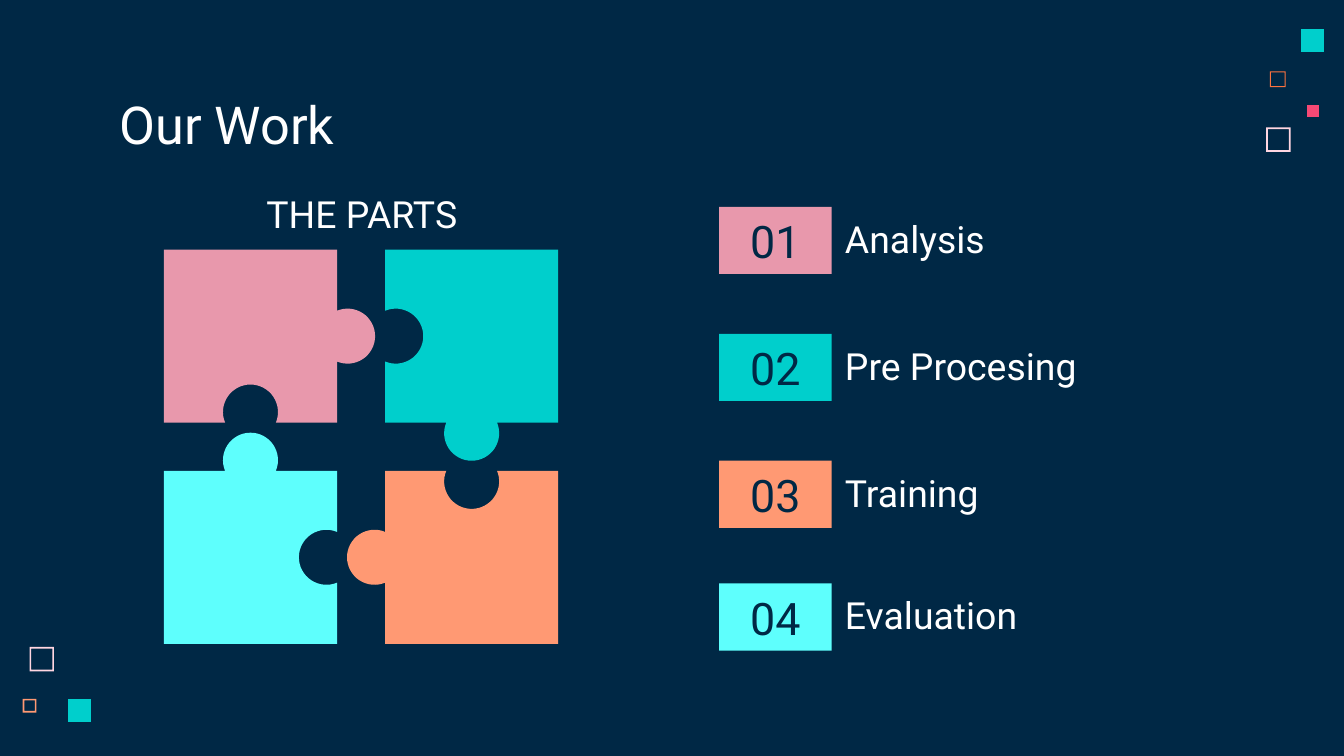
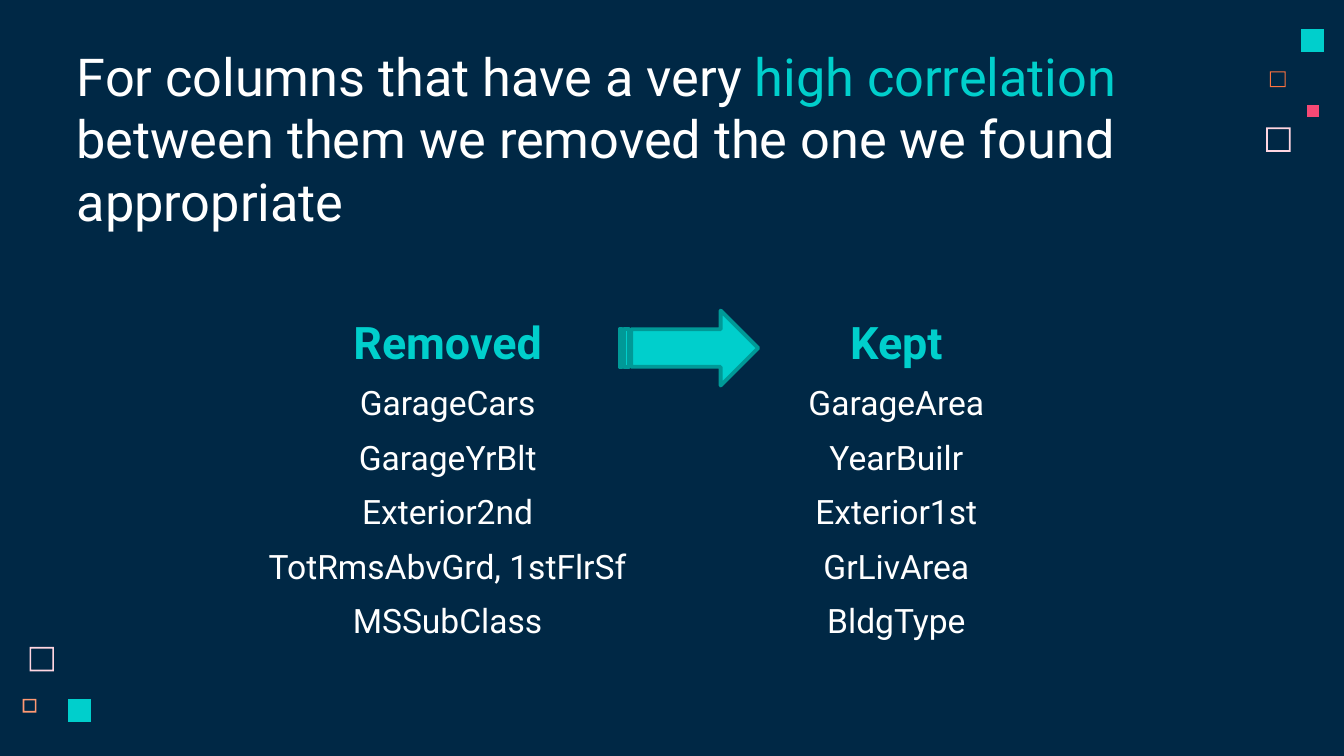
from dataclasses import dataclass
from math import acos, cos, pi, sin

from lxml.etree import SubElement
from pptx import Presentation
from pptx.dml.color import RGBColor
from pptx.enum.shapes import MSO_SHAPE as Preset
from pptx.enum.text import MSO_ANCHOR as Anchor, MSO_AUTO_SIZE as AutoSize, PP_ALIGN as Align
from pptx.oxml.ns import qn
from pptx.util import Cm, Pt


@dataclass(frozen=True)
class Theme:
    font: str = "Roboto"
    navy: str = "002845"
    white: str = "FFFFFF"
    teal: str = "00CFCC"
    teal_dark: str = "009997"
    cyan: str = "5EFFFD"
    pink: str = "E898AC"
    blush: str = "FFD6E1"
    rose: str = "F64975"
    peach: str = "FF9973"
    orange: str = "FC723F"
    title: int = 28
    heading: int = 24
    label: int = 20
    body: int = 18


THEME = Theme()
INSET = 0.25
SLIDE_SIZE = (25.4, 14.29)

DECOR = [
    (23.93, 2.41, 0.46, THEME.blush, 0.03),
    (24.0, 1.35, 0.3, THEME.orange, 0.02),
    (24.59, 0.55, 0.43, THEME.teal, 0),
    (0.43, 13.21, 0.26, THEME.peach, 0.03),
    (24.7, 1.98, 0.23, THEME.rose, 0),
    (0.56, 12.23, 0.46, THEME.blush, 0.03),
    (1.29, 13.21, 0.43, THEME.teal, 0),
]

WORK_TITLE = [("Our Work", THEME.white)]
STEPS = [
    ("01", "Analysis", THEME.pink, 3.91),
    ("02", "Pre Procesing", THEME.teal, 6.31),
    ("03", "Training", THEME.peach, 8.71),
    ("04", "Evaluation", THEME.cyan, 11.03),
]
STEP_LEFT, BADGE_WIDTH, LABEL_WIDTH, STEP_HEIGHT = 13.59, 2.13, 5.66, 1.27

PUZZLE_TITLE = "THE PARTS"
KNOB, FLAT, SOCKET = 1, 0, -1
PIECES = [
    (0, 0, THEME.pink, (FLAT, KNOB, SOCKET, FLAT)),
    (1, 1, THEME.peach, (SOCKET, FLAT, FLAT, KNOB)),
    (1, 0, THEME.teal, (FLAT, FLAT, KNOB, SOCKET)),
    (0, 1, THEME.cyan, (KNOB, SOCKET, FLAT, FLAT)),
]
PUZZLE_LEFT, PUZZLE_TOP, PIECE_SIDE, PIECE_PITCH = 3.1, 4.72, 3.27, 4.18
KNOB_RADIUS, KNOB_OFFSET, ARC_STEPS = 0.52, 0.2, 32

COLUMNS_TITLE = [
    ("For columns that have a very ", THEME.white),
    ("high correlation ", THEME.teal),
    ("between them we removed the one we found appropriate", THEME.white),
]
FEATURES = [
    ("Removed", "Kept"),
    ("GarageCars", "GarageArea"),
    ("GarageYrBlt", "YearBuilr"),
    ("Exterior2nd", "Exterior1st"),
    ("TotRmsAbvGrd, 1stFlrSf", "GrLivArea"),
    ("MSSubClass", "BldgType"),
]
TABLE_LEFT, TABLE_TOP, COLUMN_WIDTH, ROW_HEIGHT = 4.22, 5.89, 8.48, 1.03
ARROW = (11.71, 5.87, 2.62, 1.42)


def apply(target, **values):
    for name, value in values.items():
        setattr(target, name, value)


def lengths(*values):
    return [Cm(value) for value in values]


def paint(shape, color, line=None, width=2):
    shape.shadow.inherit = False
    shape.fill.solid()
    shape.fill.fore_color.rgb = RGBColor.from_string(color)
    if line:
        shape.line.color.rgb = RGBColor.from_string(line)
        shape.line.width = Pt(width)
    else:
        shape.line.fill.background()
    return shape


def write(frame, spans, size, align=Align.LEFT, bold=False):
    para = frame.paragraphs[0]
    para.alignment = align
    for text, color in spans:
        span = para.add_run()
        span.text = text
        apply(span.font, name=THEME.font, size=Pt(size), bold=bold)
        span.font.color.rgb = RGBColor.from_string(color)


def set_frame(frame, anchor, left_inset=INSET):
    apply(frame, word_wrap=True, auto_size=AutoSize.NONE, vertical_anchor=anchor,
          margin_left=Cm(left_inset), margin_right=Cm(INSET),
          margin_top=Cm(INSET), margin_bottom=Cm(INSET))


def add_label(shapes, bounds, text, align=Align.LEFT):
    box = shapes.add_textbox(*lengths(*bounds))
    set_frame(box.text_frame, Anchor.BOTTOM)
    write(box.text_frame, [(text, THEME.white)], THEME.label, align)


def add_outline(shapes, contours, color):
    contours = [[lengths(*point) for point in contour] for contour in contours]
    first, *others = contours
    builder = shapes.build_freeform(*first[0], scale=1.0)
    builder.add_line_segments(first[1:], close=True)
    for contour in others:
        builder.move_to(*contour[0])
        builder.add_line_segments(contour[1:], close=True)
    return paint(builder.convert_to_shape(), color)


def square(left, top, side):
    right, bottom = left + side, top + side
    return [(left, top), (left, bottom), (right, bottom), (right, top)]


def add_decor(page):
    for left, top, side, color, border in DECOR:
        contours = [square(left, top, side)]
        if border:
            inner = square(left + border, top + border, side - 2 * border)
            contours.append(inner[::-1])
        add_outline(page.shapes, contours, color)


def add_page(deck, spans, bounds, left_inset=INSET):
    page = deck.slides.add_slide(deck.slide_layouts[5])
    add_decor(page)
    title = page.shapes.title
    apply(title, **dict(zip(("left", "top", "width", "height"), lengths(*bounds))))
    set_frame(title.text_frame, Anchor.TOP, left_inset)
    write(title.text_frame, spans, THEME.title)
    return page


def add_step(page, number, name, color, top):
    group = page.shapes.add_group_shape()
    bounds = lengths(STEP_LEFT, top, BADGE_WIDTH, STEP_HEIGHT)
    badge = paint(group.shapes.add_shape(Preset.RECTANGLE, *bounds), color)
    set_frame(badge.text_frame, Anchor.MIDDLE)
    write(badge.text_frame, [(number, THEME.navy)], THEME.heading, Align.CENTER)
    label_left = STEP_LEFT + BADGE_WIDTH
    add_label(group.shapes, (label_left, top, LABEL_WIDTH, STEP_HEIGHT), name)


def piece_outline(left, top, edges):
    half = PIECE_SIDE / 2
    sweep = acos(-KNOB_OFFSET / KNOB_RADIUS)
    points = []
    for turn, edge in enumerate(edges):
        local = [(-half, 0)]
        if edge != FLAT:
            angles = [sweep * (2 * step / ARC_STEPS - 1) for step in range(ARC_STEPS + 1)]
            local += [(KNOB_RADIUS * sin(angle),
                       edge * (KNOB_OFFSET + KNOB_RADIUS * cos(angle))) for angle in angles]
        along_x, along_y = cos(turn * pi / 2), sin(turn * pi / 2)
        for along, out in local:
            reach = half + out
            points.append((left + half + along * along_x + reach * along_y,
                           top + half + along * along_y - reach * along_x))
    return points


def add_puzzle(page):
    for column, row, color, edges in PIECES:
        left = PUZZLE_LEFT + column * PIECE_PITCH
        top = PUZZLE_TOP + row * PIECE_PITCH
        add_outline(page.shapes, [piece_outline(left, top, edges)], color)


def clear_cell(cell):
    properties = cell._tc.get_or_add_tcPr()
    for side in ("a:lnL", "a:lnR", "a:lnT", "a:lnB"):
        SubElement(SubElement(properties, qn(side)), qn("a:noFill"))
    cell.fill.background()


def add_feature_table(page):
    rows, columns = len(FEATURES), len(FEATURES[0])
    bounds = lengths(TABLE_LEFT, TABLE_TOP, columns * COLUMN_WIDTH, rows * ROW_HEIGHT)
    table = page.shapes.add_table(rows, columns, *bounds).table
    apply(table, first_row=False, horz_banding=False)
    for row, names in enumerate(FEATURES):
        header = row == 0
        color = THEME.teal if header else THEME.white
        size = THEME.heading if header else THEME.body
        for column, name in enumerate(names):
            cell = table.cell(row, column)
            clear_cell(cell)
            write(cell.text_frame, [(name, color)], size, Align.CENTER, header)


def build_work(deck):
    page = add_page(deck, WORK_TITLE, (2.01, 1.5, 21.41, 1.6))
    for step in STEPS:
        add_step(page, *step)
    add_label(page.shapes, (4.01, 3.45, LABEL_WIDTH, STEP_HEIGHT), PUZZLE_TITLE, Align.CENTER)
    add_puzzle(page)


def build_columns(deck):
    page = add_page(deck, COLUMNS_TITLE, (0.23, 0.58, 23.39, 4.39), left_inset=1.22)
    add_feature_table(page)
    arrow = page.shapes.add_shape(Preset.STRIPED_RIGHT_ARROW, *lengths(*ARROW))
    paint(arrow, THEME.teal, THEME.teal_dark)


def main():
    deck = Presentation()
    deck.slide_width, deck.slide_height = lengths(*SLIDE_SIZE)
    backdrop = deck.slide_master.background.fill
    backdrop.solid()
    backdrop.fore_color.rgb = RGBColor.from_string(THEME.navy)
    build_work(deck)
    build_columns(deck)
    deck.save("out.pptx")


if __name__ == "__main__":
    main()
